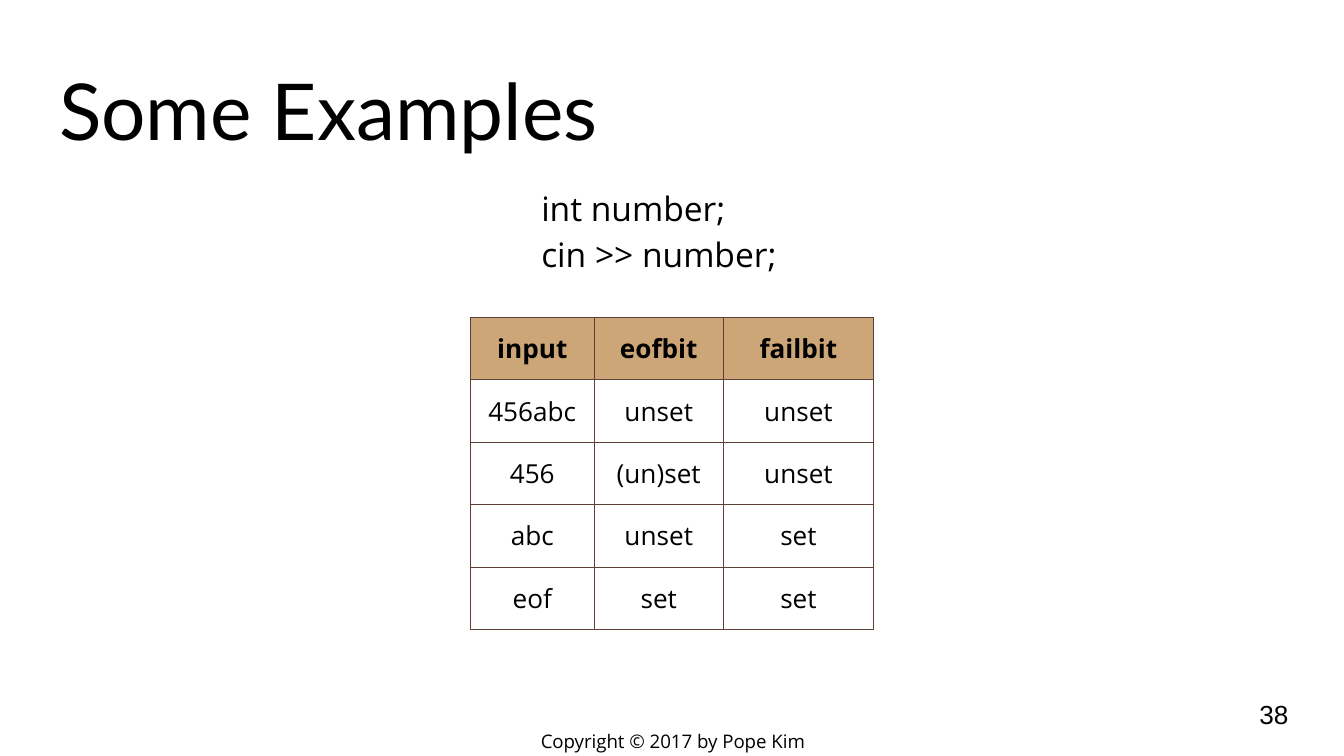
from lxml.etree import SubElement
from pptx import Presentation
from pptx.dml.color import RGBColor as RGB
from pptx.enum.text import MSO_ANCHOR as Anchor, PP_ALIGN as Align
from pptx.oxml.ns import qn
from pptx.util import Cm, Pt

COLORS = {"text": "000000", "header": "CCA677", "border": "5D4037", "page": "FFFFFF"}
BODY_FONT = "Open Sans"
INSET = Cm(0.25)
ROWS = [
    ("input", "eofbit", "failbit"),
    ("456abc", "unset", "unset"),
    ("456", "(un)set", "unset"),
    ("abc", "unset", "set"),
    ("eof", "set", "set"),
]


def add_run(p, text, size, font=BODY_FONT, bold=False):
    """Add one styled run to a paragraph."""
    r = p.add_run()
    r.text = text
    r.font.name, r.font.size, r.font.bold = font, Pt(size), bold
    r.font.color.rgb = RGB.from_string(COLORS["text"])


def add_text(s, box, lines, size, font=BODY_FONT, anchor=Anchor.MIDDLE,
             align=Align.LEFT, spacing=None, indent=0):
    """Place a text box with one paragraph for each line."""
    tf = s.shapes.add_textbox(*map(Cm, box)).text_frame
    tf.word_wrap = True
    tf.vertical_anchor = anchor
    tf.margin_left = tf.margin_right = tf.margin_top = tf.margin_bottom = INSET
    for i, line in enumerate(lines):
        p = tf.add_paragraph() if i else tf.paragraphs[0]
        p.alignment = align
        if spacing:
            p.line_spacing = spacing
        if indent:
            p._p.get_or_add_pPr().set("indent", str(Cm(indent)))
        add_run(p, line, size, font)


def add_borders(cell, color, width):
    """Draw a solid line on all four sides of a cell."""
    tcPr = cell._tc.get_or_add_tcPr()
    for i, side in enumerate(("lnL", "lnR", "lnT", "lnB")):
        ln = SubElement(tcPr, qn(f"a:{side}"), w=str(Pt(width)))
        fill = SubElement(ln, qn("a:solidFill"))
        SubElement(fill, qn("a:srgbClr"), val=color)
        tcPr.insert(i, ln)


def add_state_table(s, box, col_widths, rows):
    """Place the table of stream states with a shaded header row."""
    table = s.shapes.add_table(len(rows), len(col_widths), *map(Cm, box)).table
    table.first_row = table.horz_banding = False
    for col, width in zip(table.columns, col_widths):
        col.width = Cm(width)
    for i, row in enumerate(rows):
        table.rows[i].height = Cm(box[3] / len(rows))
        for j, text in enumerate(row):
            cell = table.cell(i, j)
            cell.margin_left = cell.margin_right = INSET
            cell.margin_top = cell.margin_bottom = INSET
            if i == 0:
                cell.fill.solid()
                cell.fill.fore_color.rgb = RGB.from_string(COLORS["header"])
            else:
                cell.fill.background()
            add_borders(cell, COLORS["border"], 0.75)
            p = cell.text_frame.paragraphs[0]
            p.alignment = Align.CENTER
            add_run(p, text, 14, bold=i == 0)


def main():
    """Build the slide and save it."""
    prs = Presentation()
    prs.slide_width, prs.slide_height = Cm(25.4), Cm(14.29)
    s = prs.slides.add_slide(prs.slide_layouts[6])
    s.background.fill.solid()
    s.background.fill.fore_color.rgb = RGB.from_string(COLORS["page"])
    add_text(s, (9.58, 13.74, 6.27, 0.53), ["Copyright © 2017 by Pope Kim"], 10,
             align=Align.CENTER)
    add_text(s, (0.87, 0.89, 23.67, 2.31), ["Some Examples"], 42, "Lato", Anchor.BOTTOM)
    add_text(s, (8.71, 3.18, 7.98, 2.29), ["int number;", "cin >> number;"], 18,
             anchor=Anchor.TOP, spacing=1.15, indent=1.27)
    add_state_table(s, (8.89, 6, 7.62, 5.9), (2.34, 2.44, 2.84), ROWS)
    add_text(s, (23.55, 12.95, 1.52, 1.09), ["38"], 14, "Arial")
    prs.save("out.pptx")


if __name__ == "__main__":
    main()
